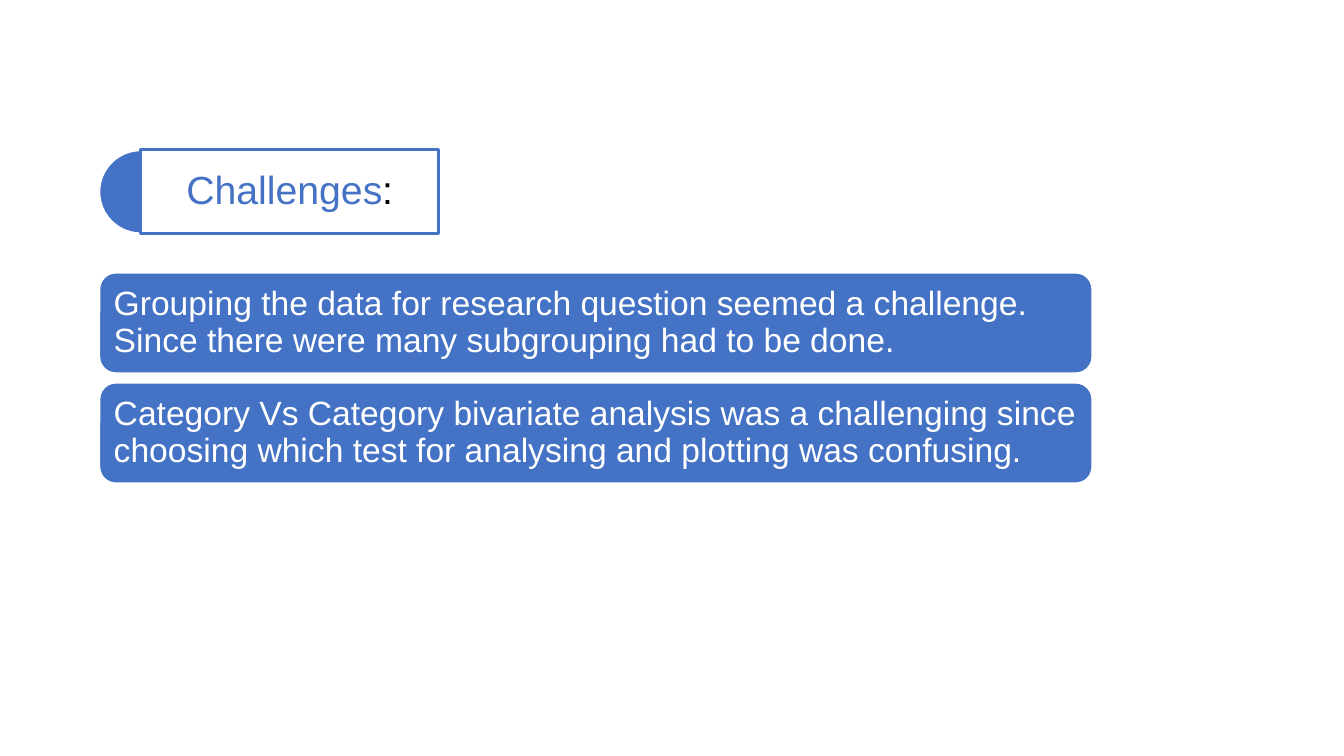
import pptx
import pptx.dml.color
import pptx.enum.shapes
import pptx.enum.text
import pptx.util
import lxml.etree

Pt = pptx.util.Pt
SHAPE = pptx.enum.shapes.MSO_SHAPE
ALIGN = pptx.enum.text.PP_ALIGN
BLUE, WHITE, BLACK = "4472C4", "FFFFFF", "000000"
CHALLENGES = [
    "Grouping the data for research question seemed a challenge. "
    "Since there were many subgrouping had to be done.",
    "Category Vs Category bivariate analysis was a challenging since "
    "choosing which test for analysing and plotting was confusing.",
]


def rgb(value):
    """Turn a hex string into a colour."""
    return pptx.dml.color.RGBColor.from_string(value)


def paint(sp, fill, line):
    """Give a shape a solid fill and a two-point outline."""
    sp.fill.solid()
    sp.fill.fore_color.rgb = rgb(fill)
    sp.line.color.rgb = rgb(line)
    sp.line.width = Pt(2)


def add_block(s, kind, left, top, width, height):
    """Add a blue preset shape with a white outline and no shadow."""
    sp = s.shapes.add_shape(kind, Pt(left), Pt(top), Pt(width), Pt(height))
    sp.shadow.inherit = False
    paint(sp, BLUE, WHITE)
    return sp


def write(sp, runs, size, align, inset):
    """Write coloured runs as one vertically centred paragraph."""
    tf = sp.text_frame
    tf.word_wrap = True
    tf.auto_size = pptx.enum.text.MSO_AUTO_SIZE.NONE
    tf.vertical_anchor = pptx.enum.text.MSO_ANCHOR.MIDDLE
    tf.margin_left = tf.margin_right = Pt(inset)
    tf.margin_top = tf.margin_bottom = Pt(inset)
    p = tf.paragraphs[0]
    p.alignment = align
    p.line_spacing = 0.9
    p.space_before = Pt(0)
    p.font.size = Pt(size)
    p.font.name = "Arial"
    for text, color in runs:
        r = p.add_run()
        r.text = text
        r.font.color.rgb = rgb(color)


def add_heading(s, left, top, width, height):
    """Place the title box with a half disc on its left side."""
    title = s.shapes.title
    title.left, title.top = Pt(left + height / 2), Pt(top)
    title.width, title.height = Pt(width - height / 2), Pt(height)
    paint(title, WHITE, BLUE)
    color = title.fill._xPr.find(".//" + pptx.oxml.ns.qn("a:srgbClr"))
    lxml.etree.SubElement(color, pptx.oxml.ns.qn("a:alpha"), val="90000")
    write(title, [("Challenges", BLUE), (":", BLACK)], 28, ALIGN.CENTER, 8.4)
    disc = add_block(s, SHAPE.PIE, left, top, height, height)
    disc.adjustments[0] = 54
    disc.adjustments[1] = 162
    title._element.addprevious(disc._element)


def add_cards(s, left, top, width, height, gap):
    """Stack one rounded card per challenge over the given height."""
    count = len(CHALLENGES)
    card_height = (height - gap * (count - 1)) / count
    for i, text in enumerate(CHALLENGES):
        card_top = top + i * (card_height + gap)
        card = add_block(s, SHAPE.ROUNDED_RECTANGLE, left, card_top, width, card_height)
        write(card, [(text, WHITE)], 24, ALIGN.LEFT, 7.2)


def main():
    """Build the challenges slide and save it."""
    prs = pptx.Presentation()
    prs.slide_width, prs.slide_height = Pt(960), Pt(540)
    s = prs.slides.add_slide(prs.slide_layouts[5])
    add_heading(s, 70.6, 107, 242.7, 60)
    add_cards(s, 70.6, 194.4, 710, 151.2, 6)
    prs.save("out.pptx")


if __name__ == "__main__":
    main()
